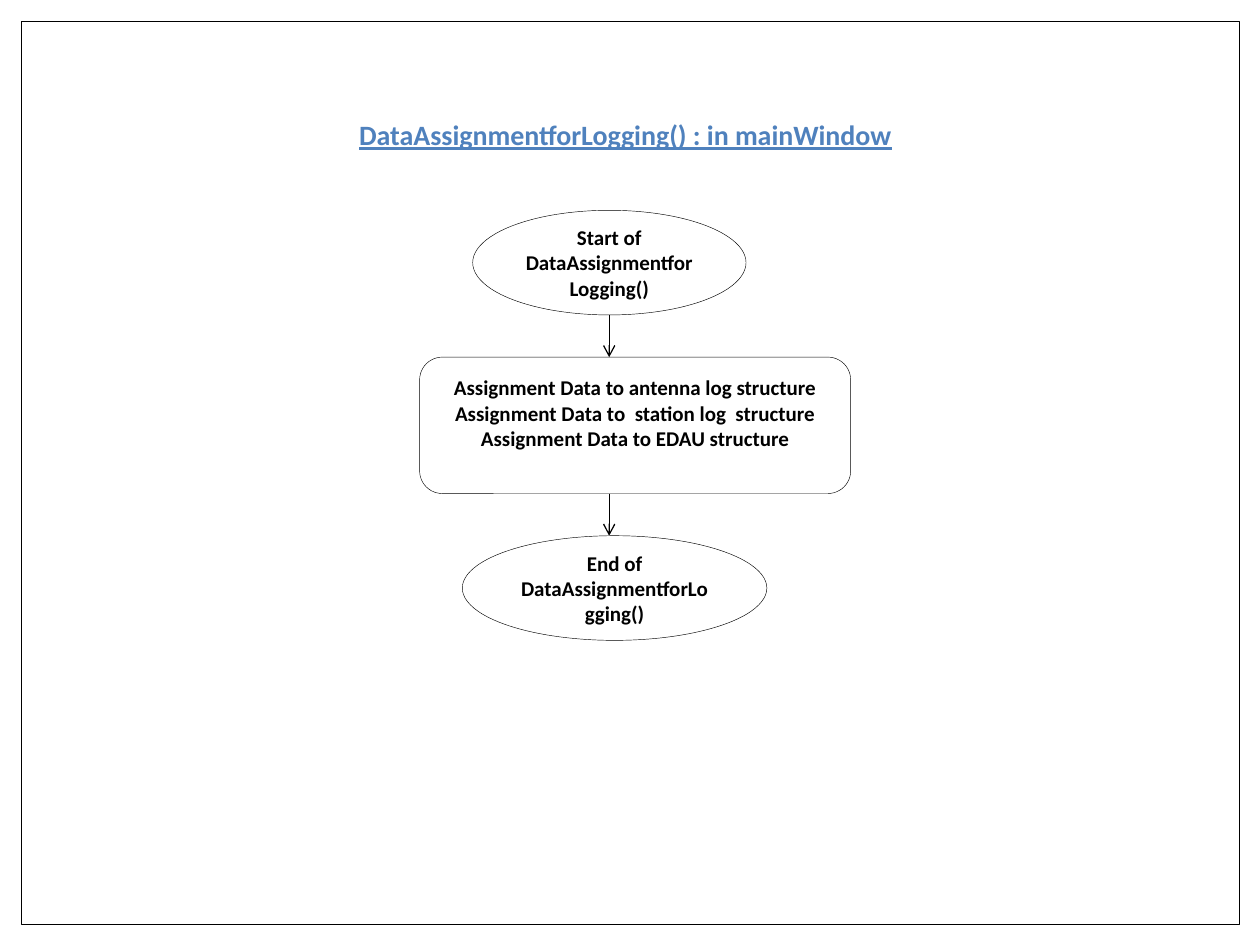
from dataclasses import dataclass

from lxml import etree
from pptx import Presentation
from pptx.dml.color import RGBColor
from pptx.enum.shapes import MSO_CONNECTOR, MSO_SHAPE
from pptx.enum.text import MSO_ANCHOR, PP_ALIGN
from pptx.oxml.ns import qn
from pptx.util import Cm, Pt

RECTANGLE = MSO_SHAPE.RECTANGLE
ROUNDED = MSO_SHAPE.ROUNDED_RECTANGLE
OVAL = MSO_SHAPE.OVAL
STRAIGHT = MSO_CONNECTOR.STRAIGHT
LEFT, CENTER = PP_ALIGN.LEFT, PP_ALIGN.CENTER
TOP, MIDDLE = MSO_ANCHOR.TOP, MSO_ANCHOR.MIDDLE
TITLE_ONLY_LAYOUT = 5


@dataclass(frozen=True)
class Theme:
    font: str = "Calibri"
    ink: RGBColor = RGBColor(0x00, 0x00, 0x00)
    accent: RGBColor = RGBColor(0x4F, 0x81, 0xBD)
    title_size: Pt = Pt(16)
    body_size: Pt = Pt(12)
    outline: Pt = Pt(0.25)
    arrow_line: Pt = Pt(0.75)


THEME = Theme()

FLOW_TOP = 4.24
FLOW_GAP = 0.85
ARROW_X = 12.28

# Outline, left, width, height, bottom inset (all in cm), lines of text
STEPS = [
    (OVAL, 9.53, 5.51, 2.11, 0.13, ["Start of DataAssignmentforLogging()"]),
    (ROUNDED, 8.46, 8.69, 2.75, 0.64, [
        "Assignment Data to antenna log structure",
        "Assignment Data to  station log  structure",
        "Assignment Data to EDAU structure",
    ]),
    (OVAL, 9.32, 6.14, 2.11, 0.13, ["End of DataAssignmentforLogging()"]),
]


def write_text(shape, lines, *, size=THEME.body_size, color=THEME.ink,
               align=CENTER, anchor=MIDDLE, underline=None, bottom=0.13):
    frame = shape.text_frame
    frame.word_wrap = True
    frame.vertical_anchor = anchor
    frame.margin_left = frame.margin_right = Cm(0.25)
    frame.margin_top, frame.margin_bottom = Cm(0.13), Cm(bottom)
    frame.text = "\n".join(lines)
    for paragraph in frame.paragraphs:
        paragraph.alignment = align
        font = paragraph.runs[0].font
        font.name, font.size, font.bold = THEME.font, size, True
        font.underline = underline
        font.color.rgb = color


def add_outline(slide, kind, left, top, width, height):
    shape = slide.shapes.add_shape(kind, Cm(left), Cm(top), Cm(width), Cm(height))
    shape.shadow.inherit = False
    shape.fill.background()
    shape.line.color.rgb = THEME.ink
    shape.line.width = THEME.outline
    return shape


def add_arrow(slide, x, top, bottom):
    arrow = slide.shapes.add_connector(STRAIGHT, Cm(x), Cm(top), Cm(x), Cm(bottom))
    arrow.line.color.rgb = THEME.ink
    arrow.line.width = THEME.arrow_line
    line = arrow.line._get_or_add_ln()
    etree.SubElement(line, qn("a:tailEnd"), type="arrow")
    etree.SubElement(line.getparent(), qn("a:effectLst"))


def set_title(slide, text):
    title = slide.shapes.title
    title.left, title.top = Cm(6.99), Cm(2.24)
    title.width, title.height = Cm(12.07), Cm(0.94)
    write_text(title, [text], size=THEME.title_size, color=THEME.accent,
               align=LEFT, anchor=TOP, underline=True)


def add_flow(slide):
    """Stack the steps downwards, with an arrow in each gap."""
    top = FLOW_TOP
    for index, (kind, left, width, height, bottom, lines) in enumerate(STEPS):
        if index:
            add_arrow(slide, ARROW_X, top - FLOW_GAP, top)
        step = add_outline(slide, kind, left, top, width, height)
        write_text(step, lines, bottom=bottom)
        top += height + FLOW_GAP


def main():
    presentation = Presentation()
    presentation.slide_width, presentation.slide_height = Cm(25.4), Cm(19.05)
    layout = presentation.slide_layouts[TITLE_ONLY_LAYOUT]
    slide = presentation.slides.add_slide(layout)
    add_outline(slide, RECTANGLE, 0.43, 0.43, 24.56, 18.21)
    set_title(slide, "DataAssignmentforLogging() : in mainWindow")
    add_flow(slide)
    presentation.save("out.pptx")


if __name__ == "__main__":
    main()
